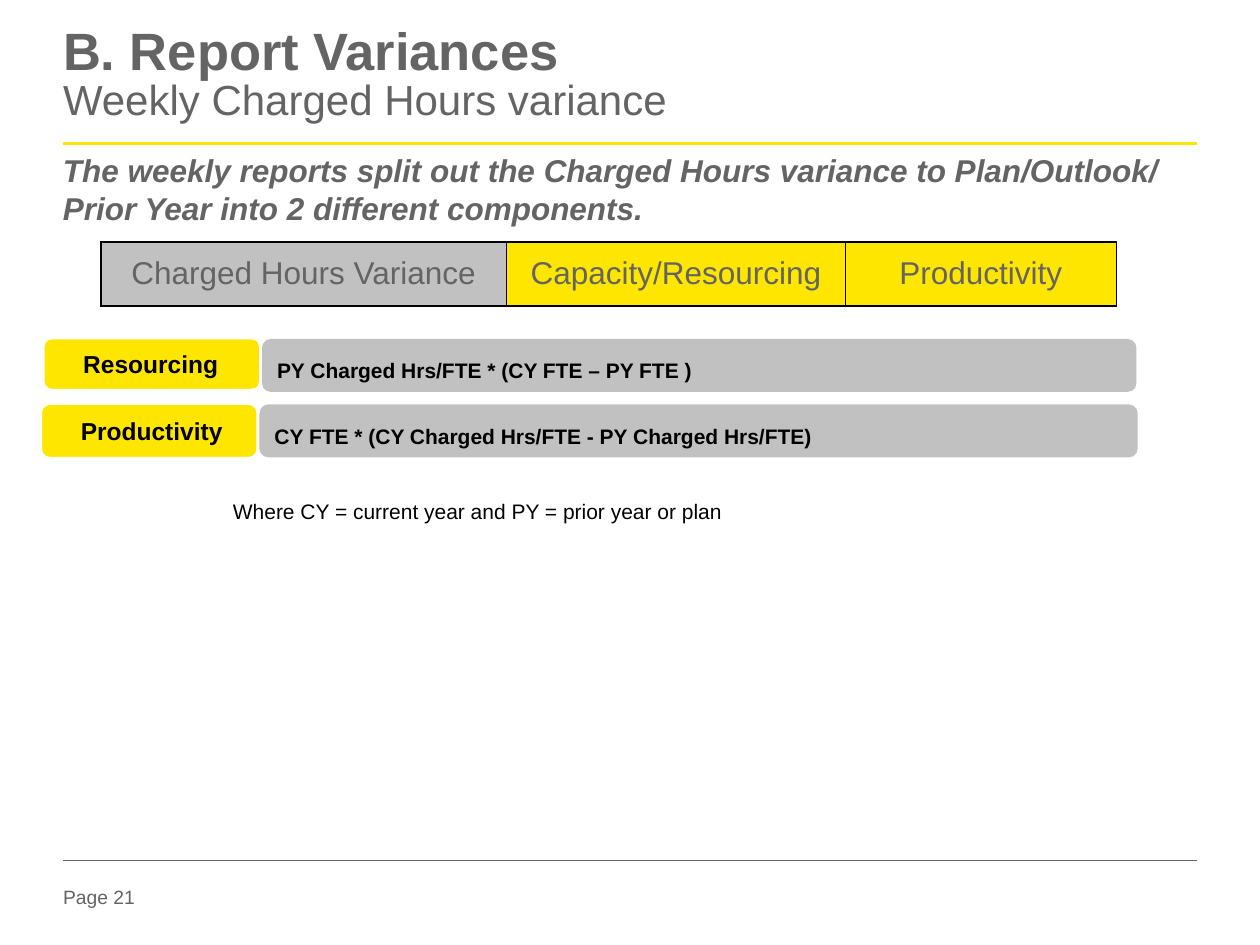
from copy import deepcopy

from lxml.etree import SubElement
from pptx import Presentation
from pptx.dml.color import RGBColor
from pptx.enum.shapes import MSO_CONNECTOR as CONN, MSO_SHAPE as SHAPE
from pptx.enum.text import MSO_ANCHOR as ANCHOR, MSO_AUTO_SIZE as AUTO, PP_ALIGN as ALIGN
from pptx.oxml import parse_xml
from pptx.oxml.ns import nsdecls, qn
from pptx.util import Inches, Pt

GREY = RGBColor(0x64, 0x64, 0x64)
SILVER = RGBColor(0xC1, 0xC1, 0xC1)
YELLOW = RGBColor(0xFF, 0xE6, 0x00)
BLACK = RGBColor(0, 0, 0)
WHITE = RGBColor(0xFF, 0xFF, 0xFF)
NO_INSETS = (0, 0, 0, 0)
TEXT_INSETS = (0.1, 0.05, 0.1, 0.05)


def add_run(p, text, size, color, bold=False, italic=False):
    """Add one formatted run to a paragraph."""
    r = p.add_run()
    r.text = text
    f = r.font
    f.name, f.size, f.bold, f.italic = "Arial", Pt(size), bold, italic
    f.color.rgb = color
    return r


def set_frame(tf, insets, anchor):
    """Set wrapping, insets and anchor of a text frame."""
    tf.word_wrap = True
    tf.auto_size = AUTO.NONE
    tf.vertical_anchor = anchor
    tf.margin_left, tf.margin_top, tf.margin_right, tf.margin_bottom = map(Inches, insets)


def add_title(s, title, subtitle):
    """Fill the title placeholder with a bold title and a plain subtitle."""
    sp = s.shapes.title
    sp.left, sp.top, sp.width, sp.height = map(Inches, (0.5, 0.22, 9, 0.94))
    set_frame(sp.text_frame, NO_INSETS, ANCHOR.TOP)
    p = sp.text_frame.paragraphs[0]
    p.alignment, p.line_spacing = ALIGN.LEFT, 0.85
    r = add_run(p, title, 30, GREY, bold=True)
    p.add_line_break()
    p._p.find(qn("a:br")).append(deepcopy(r.font._element))
    add_run(p, subtitle, 24, GREY)


def add_text(s, box, text, size, color, insets=NO_INSETS, anchor=ANCHOR.TOP, **style):
    """Add a text box with one run."""
    sp = s.shapes.add_textbox(*map(Inches, box))
    set_frame(sp.text_frame, insets, anchor)
    add_run(sp.text_frame.paragraphs[0], text, size, color, **style)
    return sp


def add_rule(s, y, color, width):
    """Add a horizontal rule across the content width."""
    line = s.shapes.add_connector(CONN.STRAIGHT, Inches(0.5), Inches(y), Inches(9.5), Inches(y))
    line.line.color.rgb = color
    line.line.width = Pt(width)
    SubElement(line._element.spPr, qn("a:effectLst"))


def add_box(s, box, text, size, fill, insets, anchor, outline=None):
    """Add a rounded box with bold left-aligned text."""
    sp = s.shapes.add_shape(SHAPE.ROUNDED_RECTANGLE, *map(Inches, box))
    sp.shadow.inherit = False
    sp.fill.solid()
    sp.fill.fore_color.rgb = fill
    if outline is None:
        sp.line.fill.background()
    else:
        sp.line.color.rgb = outline
        sp.line.width = Pt(2)
    set_frame(sp.text_frame, insets, anchor)
    p = sp.text_frame.paragraphs[0]
    p.alignment = ALIGN.LEFT
    add_run(p, text, size, BLACK, bold=True)


def add_borders(cell):
    """Give a cell thin black borders on all sides."""
    tc_pr = cell._tc.get_or_add_tcPr()
    for side in "LRTB":
        tc_pr.append(parse_xml(
            f'<a:ln{side} {nsdecls("a")} w="{Pt(1)}"><a:solidFill>'
            f'<a:srgbClr val="{BLACK}"/></a:solidFill></a:ln{side}>'))


def add_variance_table(s, columns):
    """Add the one-row table from (text, width, fill) columns."""
    total = sum(width for _, width, _ in columns)
    frame = s.shapes.add_table(1, len(columns), *map(Inches, (0.8, 1.92, total, 0.51)))
    table = frame.table
    table.first_row = table.horz_banding = False
    for i, (text, width, fill) in enumerate(columns):
        table.columns[i].width = Inches(width)
        cell = table.cell(0, i)
        add_borders(cell)
        cell.fill.solid()
        cell.fill.fore_color.rgb = fill
        cell.vertical_anchor = ANCHOR.MIDDLE
        p = cell.text_frame.paragraphs[0]
        p.alignment = ALIGN.CENTER
        add_run(p, text, 18, GREY)


def add_formula(s, label, label_box, formula, formula_box):
    """Add a yellow component label and its grey formula bar."""
    add_box(s, label_box, label, 14, YELLOW, (0.3, 0.05, 0.1, 0.05), ANCHOR.MIDDLE, WHITE)
    add_box(s, formula_box, formula, 12, SILVER, (0.1, 0.2, 0.1, 0.05), ANCHOR.BOTTOM)


def main():
    """Build and save the slide."""
    prs = Presentation()
    prs.slide_width, prs.slide_height = Inches(10), Inches(7.5)
    s = prs.slides.add_slide(prs.slide_layouts[5])
    add_text(s, (0.5, 7.01, 0.79, 0.22), "Page 21", 11, GREY, anchor=ANCHOR.MIDDLE)
    add_rule(s, 1.14, YELLOW, 1.5)
    add_rule(s, 6.83, GREY, 0.25)
    add_title(s, "B. Report Variances ", "Weekly Charged Hours variance")
    add_text(s, (0.5, 1.2, 9, 0.58),
             "The weekly reports split out the Charged Hours variance to Plan/Outlook/ "
             "Prior Year into 2 different components.", 18, GREY, bold=True, italic=True)
    add_variance_table(s, [("Charged Hours Variance", 3.22, SILVER),
                           ("Capacity/Resourcing", 2.69, YELLOW),
                           ("Productivity", 2.15, YELLOW)])
    add_formula(s, "Resourcing", (0.34, 2.68, 1.73, 0.42),
                "PY Charged Hrs/FTE * (CY FTE – PY FTE )", (2.08, 2.69, 6.94, 0.42))
    add_formula(s, "Productivity", (0.32, 3.2, 1.73, 0.44),
                "CY FTE * (CY Charged Hrs/FTE - PY Charged Hrs/FTE)", (2.06, 3.21, 6.97, 0.42))
    note = add_text(s, (1.75, 3.91, 5.08, 0.3),
                    "Where CY = current year and PY = prior year or plan", 12, BLACK, TEXT_INSETS)
    note.text_frame.auto_size = AUTO.SHAPE_TO_FIT_TEXT
    prs.save("out.pptx")


if __name__ == "__main__":
    main()
